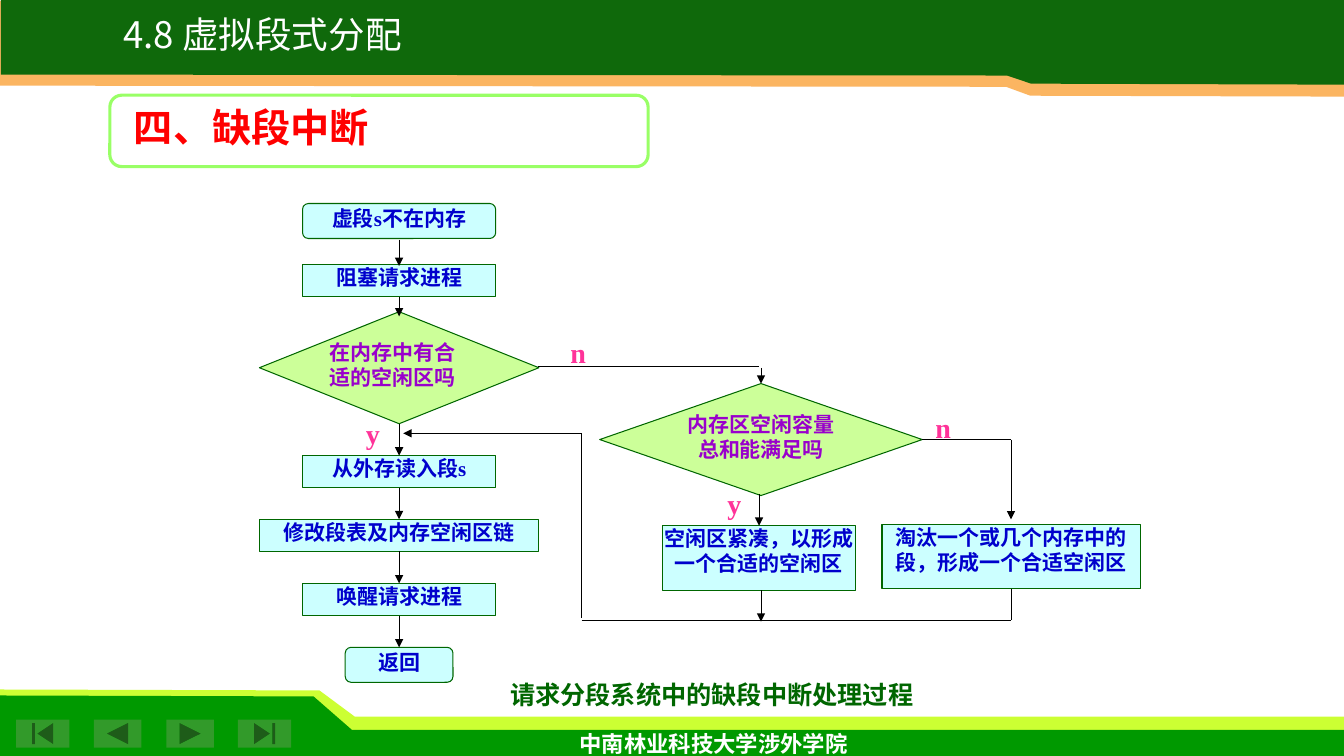
import pptx
import pptx.util
import pptx.dml.color
import pptx.enum.shapes
import pptx.enum.text
import pptx.oxml
import pptx.oxml.ns

Pt = pptx.util.Pt
SHAPE = pptx.enum.shapes.MSO_SHAPE
ALIGN = pptx.enum.text.PP_ALIGN
ANCHOR = pptx.enum.text.MSO_ANCHOR
STRAIGHT = pptx.enum.shapes.MSO_CONNECTOR.STRAIGHT
qn = pptx.oxml.ns.qn


def rgb(value):
    return pptx.dml.color.RGBColor.from_string(value)


def write(sp, text, size, color, align=ALIGN.LEFT, font="Times New Roman",
          bold=True, insets=(0, 0), anchor=ANCHOR.TOP):
    tf = sp.text_frame
    tf.text = text
    tf.word_wrap = True
    tf.vertical_anchor = anchor
    tf.margin_left = tf.margin_right = Pt(insets[0])
    tf.margin_top = tf.margin_bottom = Pt(insets[1])
    p = tf.paragraphs[0]
    p.alignment = align
    r = p.runs[0]
    r.font.size = Pt(size)
    r.font.name = font
    r.font.bold = bold
    r.font.color.rgb = rgb(color)
    ea = r.font._element.makeelement(qn("a:ea"), {"typeface": "Noto Sans CJK SC"})
    r.font._element.find(qn("a:latin")).addnext(ea)


prs = pptx.Presentation()
prs.slide_width = Pt(960)
prs.slide_height = Pt(540)
s = prs.slides.add_slide(prs.slide_layouts[5])

bands = [
    ("CCFF33", [(0, 533), (960, 533), (960, 511.9), (253.4, 511.9), (228.2, 493.2), (0, 492.5)]),
    ("009900", [(0, 540), (960, 540), (960, 521.3), (251.3, 521.3), (224, 497.5), (0, 496.8)]),
    ("FBB561", [(0, 0.7), (960, 0.7), (960, 69), (736, 68.4), (718.6, 62), (0, 61.2)]),
    ("0F690B", [(0.7, 0), (960, 0), (960, 60.5), (736.6, 59.8), (719.3, 54), (0.7, 53.3)]),
]
for color, points in bands:
    corners = [(Pt(x), Pt(y)) for x, y in points]
    builder = s.shapes.build_freeform(*corners[0])
    builder.add_line_segments(corners[1:], close=True)
    sp = builder.convert_to_shape()
    sp.shadow.inherit = False
    sp.fill.solid()
    sp.fill.fore_color.rgb = rgb(color)
    sp.line.fill.background()

buttons = [
    (SHAPE.ACTION_BUTTON_BEGINNING, 11.5, 38),
    (SHAPE.ACTION_BUTTON_BACK_OR_PREVIOUS, 67, 34),
    (SHAPE.ACTION_BUTTON_FORWARD_OR_NEXT, 118.8, 34),
    (SHAPE.ACTION_BUTTON_END, 170, 38),
]
for kind, left, width in buttons:
    sp = s.shapes.add_shape(kind, Pt(left), Pt(514), Pt(width), Pt(20))
    sp.shadow.inherit = False
    sp.fill.solid()
    sp.fill.fore_color.rgb = rgb("329A2A")
    sp.line.fill.background()

title = s.shapes.title
title.left, title.top, title.width, title.height = Pt(88), Pt(7), Pt(300), Pt(35)
write(title, "4.8 虚拟段式分配", 26.1, "FFFFFF", font="Noto Sans CJK SC", bold=False,
      anchor=ANCHOR.MIDDLE)
title.element.getparent().append(title.element)

frame = s.shapes.add_shape(SHAPE.ROUNDED_RECTANGLE, Pt(78.5), Pt(68), Pt(384.5), Pt(51))
frame.shadow.inherit = False
frame.fill.solid()
frame.fill.fore_color.rgb = rgb("FFFFFF")
frame.line.color.rgb = rgb("99FF66")
frame.line.width = Pt(2.25)

main_x, compact_x, evict_x, loop_x = 285.1, 543.6, 722.2, 415.4
steps = [
    (SHAPE.ROUNDED_RECTANGLE, "虚段s不在内存", main_x, 145.4, 138, 25),
    (SHAPE.RECTANGLE, "阻塞请求进程", main_x, 188.6, 138, 23),
    (SHAPE.DIAMOND, "在内存中有合适的空闲区吗", main_x, 222.7, 199.6, 80),
    (SHAPE.RECTANGLE, "从外存读入段s", main_x, 325.4, 138, 23),
    (SHAPE.RECTANGLE, "修改段表及内存空闲区链", main_x, 370.9, 199.6, 23),
    (SHAPE.RECTANGLE, "唤醒请求进程", main_x, 416.7, 138, 23),
    (SHAPE.ROUNDED_RECTANGLE, "返回", main_x, 462.4, 77, 25),
    (SHAPE.DIAMOND, "内存区空闲容量总和能满足吗", compact_x, 274, 230.4, 80),
    (SHAPE.RECTANGLE, "空闲区紧凑，以形成一个合适的空闲区", compact_x - 1.5, 375.5, 138, 46),
    (SHAPE.RECTANGLE, "淘汰一个或几个内存中的段，形成一个合适空闲区", evict_x, 374.5, 184.4, 46),
]
for kind, text, center, top, width, height in steps:
    sp = s.shapes.add_shape(kind, Pt(center - width / 2), Pt(top), Pt(width), Pt(height))
    sp.shadow.inherit = False
    decision = kind == SHAPE.DIAMOND
    sp.fill.solid()
    sp.fill.fore_color.rgb = rgb("CCFF99" if decision else "CCFFFF")
    sp.line.color.rgb = rgb("006600")
    sp.line.width = Pt(0.75)
    left_aligned = decision and center == main_x
    write(sp, text, 15, "9900CC" if decision else "0000CC",
          ALIGN.LEFT if left_aligned else ALIGN.CENTER,
          insets=(6, 0) if center == evict_x else (0, 0))

flows = [
    (main_x, 171.4, main_x, 190, True),
    (main_x, 212.4, main_x, 226, True),
    (main_x, 302.7, main_x, 325.4, True),
    (main_x, 348.4, main_x, 370.9, True),
    (main_x, 393.9, main_x, 416.7, True),
    (main_x, 439.7, main_x, 462.4, True),
    (384, 262, 542.2, 262, False),
    (compact_x, 262.8, compact_x, 274, True),
    (542.2, 353, 542.2, 375.5, True),
    (658.8, 314, evict_x, 314, False),
    (evict_x, 314, evict_x, 371, True),
    (compact_x, 421.5, compact_x, 444, True),
    (evict_x, 420.5, evict_x, 443, False),
    (loop_x, 443, evict_x, 443, False),
    (loop_x, 441.4, loop_x, 309.5, False),
    (loop_x, 309.5, 288, 309.5, True),
]
for x1, y1, x2, y2, arrow in flows:
    flow = s.shapes.add_connector(STRAIGHT, Pt(x1), Pt(y1), Pt(x2), Pt(y2))
    flow.line.color.rgb = rgb("000000")
    flow.line.width = Pt(0.75)
    if arrow:
        ln = flow.line._get_or_add_ln()
        ln.append(ln.makeelement(qn("a:tailEnd"), {"type": "triangle"}))
    props = flow.element.spPr
    props.append(props.makeelement(qn("a:effectLst"), {}))

for text, left, top in [("y", 254.2, 293.8), ("y", 512.6, 344.2),
                        ("n", 400.3, 236.2), ("n", 661, 289.4)]:
    sp = s.shapes.add_textbox(Pt(left), Pt(top), Pt(31), Pt(34.5))
    write(sp, text, 20, "FF3399", insets=(7.2, 3.6))

caption = s.shapes.add_textbox(Pt(355), Pt(485.3), Pt(306.7), Pt(23))
write(caption, "请求分段系统中的缺段中断处理过程", 18, "006600", ALIGN.CENTER)

heading = s.shapes.add_textbox(Pt(88.6), Pt(70), Pt(434), Pt(41))
write(heading, "四、缺段中断", 28, "FF0000", insets=(7.2, 3.6))

footer = s.shapes.add_textbox(Pt(350), Pt(517.7), Pt(319.7), Pt(22))
write(footer, "中南林业科技大学涉外学院", 16, "FFFFFF", ALIGN.CENTER, "Lato", insets=(7.2, 3.6))

prs.save("out.pptx")
